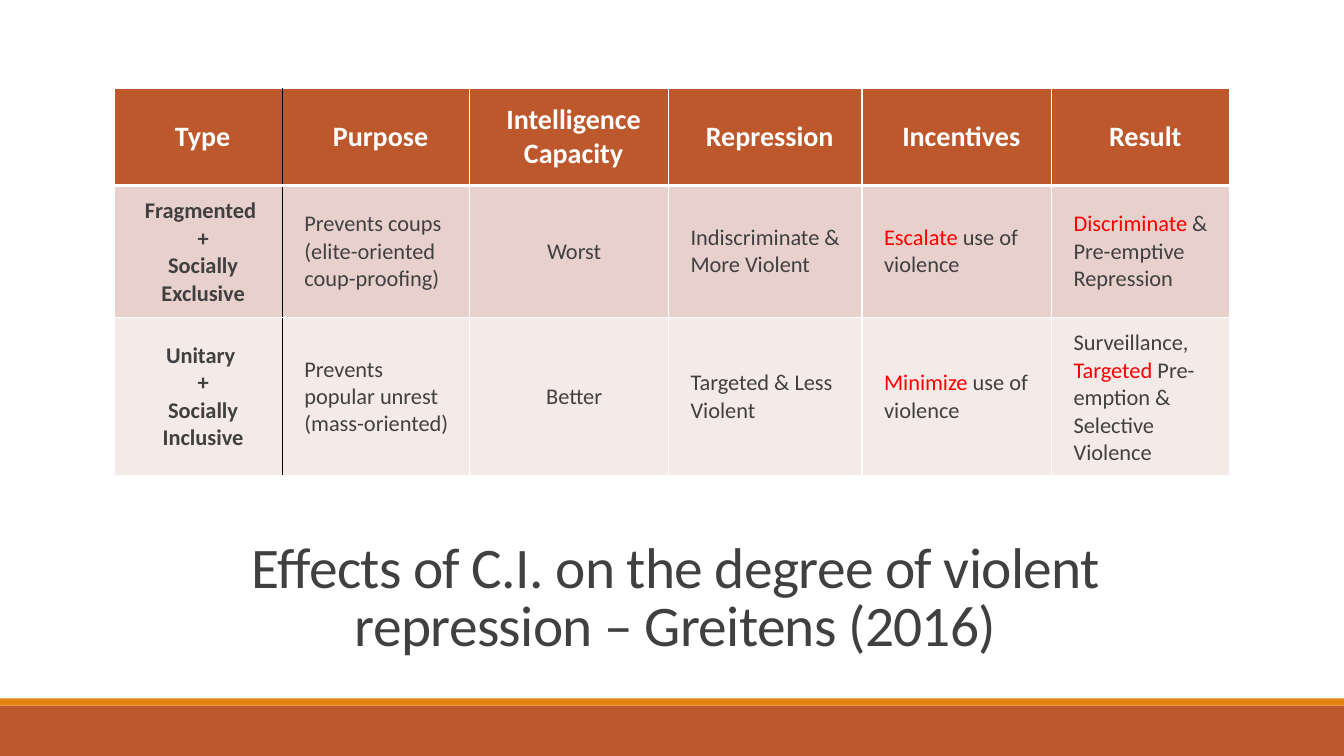
from dataclasses import dataclass

from lxml import etree
from pptx import Presentation
from pptx.dml.color import RGBColor
from pptx.enum.shapes import MSO_SHAPE
from pptx.enum.text import MSO_ANCHOR, PP_ALIGN
from pptx.oxml.ns import qn
from pptx.util import Inches, Pt

RECTANGLE = MSO_SHAPE.RECTANGLE
MIDDLE = MSO_ANCHOR.MIDDLE
CENTER, LEFT = PP_ALIGN.CENTER, PP_ALIGN.LEFT


@dataclass(frozen=True)
class Theme:
    font: str = "Calibri"
    rust: str = "BD582C"
    orange: str = "E48312"
    white: str = "FFFFFF"
    divider: str = "000000"
    ink: str = "404040"
    accent: str = "FF0000"
    bands: tuple = ("E8D1CD", "F4EAE8")
    title_size: int = 41
    header_size: int = 20
    body_size: int = 16


THEME = Theme()

COLUMN_WIDTHS = [1.67, 1.86, 1.97, 1.92, 1.88, 1.77]
ROW_HEIGHTS = [0.96, 1.31, 1.57]
CENTERED_COLUMNS = (0, 2)

# Asterisks enclose the words set in the accent colour.
ROWS = [
    ["Type", "Purpose", "Intelligence Capacity", "Repression", "Incentives", "Result"],
    [
        "Fragmented \n+\nSocially Exclusive",
        "Prevents coups (elite-oriented coup-proofing)",
        "Worst",
        "Indiscriminate & More Violent",
        "*Escalate* use of violence",
        "*Discriminate* & Pre-emptive Repression",
    ],
    [
        "Unitary \n+\nSocially Inclusive",
        "Prevents popular unrest (mass-oriented)",
        "Better",
        "Targeted & Less Violent",
        "*Minimize* use of violence",
        "Surveillance, *Targeted* Pre-emption & Selective Violence",
    ],
]
TITLE = "Effects of C.I. on the degree of violent repression – Greitens (2016)"


def add_run(paragraph, text, size, color, bold=False):
    run = paragraph.add_run()
    run.text = text
    run.font.name = THEME.font
    run.font.size = Pt(size)
    run.font.bold = bold
    run.font.color.rgb = RGBColor.from_string(color)
    return run


def add_band(slide, top, height, color):
    band = slide.shapes.add_shape(
        RECTANGLE, Inches(0), Inches(top), Inches(13.33), Inches(height)
    )
    band.shadow.inherit = False
    band.fill.solid()
    band.fill.fore_color.rgb = RGBColor.from_string(color)
    band.line.fill.background()


def add_title(slide):
    title = slide.shapes.add_textbox(Inches(1.2), Inches(5.3), Inches(11), Inches(1.3))
    frame = title.text_frame
    frame.word_wrap = True
    frame.vertical_anchor = MIDDLE
    paragraph = frame.paragraphs[0]
    paragraph.alignment = CENTER
    paragraph.line_spacing = 0.85
    run = add_run(paragraph, TITLE, THEME.title_size, THEME.ink)
    run.font._element.set("spc", "-50")


def add_border(cell, side, color, width):
    properties = cell._tc.get_or_add_tcPr()
    border = etree.SubElement(properties, qn(f"a:ln{side}"), w=str(Pt(width)))
    fill = etree.SubElement(border, qn("a:solidFill"))
    etree.SubElement(fill, qn("a:srgbClr"), val=color)


def style_cell(cell, row, column):
    is_header = row == 0
    borders = {
        "L": (THEME.divider if column == 1 else THEME.white, 1),
        "R": (THEME.divider if column == 0 else THEME.white, 1),
        "T": (THEME.white, 3 if row == 1 else 1),
        "B": (THEME.white, 3 if is_header else 1),
    }
    for side, (color, width) in borders.items():
        add_border(cell, side, color, width)
    cell.fill.solid()
    cell.fill.fore_color.rgb = RGBColor.from_string(
        THEME.rust if is_header else THEME.bands[row - 1]
    )
    cell.vertical_anchor = MIDDLE
    margin = Inches(0.13 if is_header else 0.12)
    cell.margin_left = Inches(0.22)
    cell.margin_right = cell.margin_top = cell.margin_bottom = margin


def fill_cell(cell, text, row, column):
    is_header = row == 0
    size = THEME.header_size if is_header else THEME.body_size
    base_color = THEME.white if is_header else THEME.ink
    frame = cell.text_frame
    for index, line in enumerate(text.split("\n")):
        paragraph = frame.add_paragraph() if index else frame.paragraphs[0]
        paragraph.alignment = CENTER if is_header or column in CENTERED_COLUMNS else LEFT
        for part, words in enumerate(line.split("*")):
            if words:
                color = THEME.accent if part % 2 else base_color
                add_run(paragraph, words, size, color, is_header or column == 0)


def add_comparison_table(slide):
    table = slide.shapes.add_table(
        len(ROWS), len(COLUMN_WIDTHS), Inches(1.13), Inches(0.88),
        Inches(sum(COLUMN_WIDTHS)), Inches(sum(ROW_HEIGHTS)),
    ).table
    for column, width in zip(table.columns, COLUMN_WIDTHS):
        column.width = Inches(width)
    for row, height in zip(table.rows, ROW_HEIGHTS):
        row.height = Inches(height)
    for row, texts in enumerate(ROWS):
        for column, text in enumerate(texts):
            cell = table.cell(row, column)
            style_cell(cell, row, column)
            fill_cell(cell, text, row, column)


def main():
    presentation = Presentation()
    presentation.slide_width = Inches(13.33)
    presentation.slide_height = Inches(7.5)
    slide = presentation.slides.add_slide(presentation.slide_layouts[6])
    add_band(slide, 7, 0.5, THEME.rust)
    add_band(slide, 6.93, 0.07, THEME.orange)
    add_title(slide)
    add_comparison_table(slide)
    presentation.save("out.pptx")


if __name__ == "__main__":
    main()
